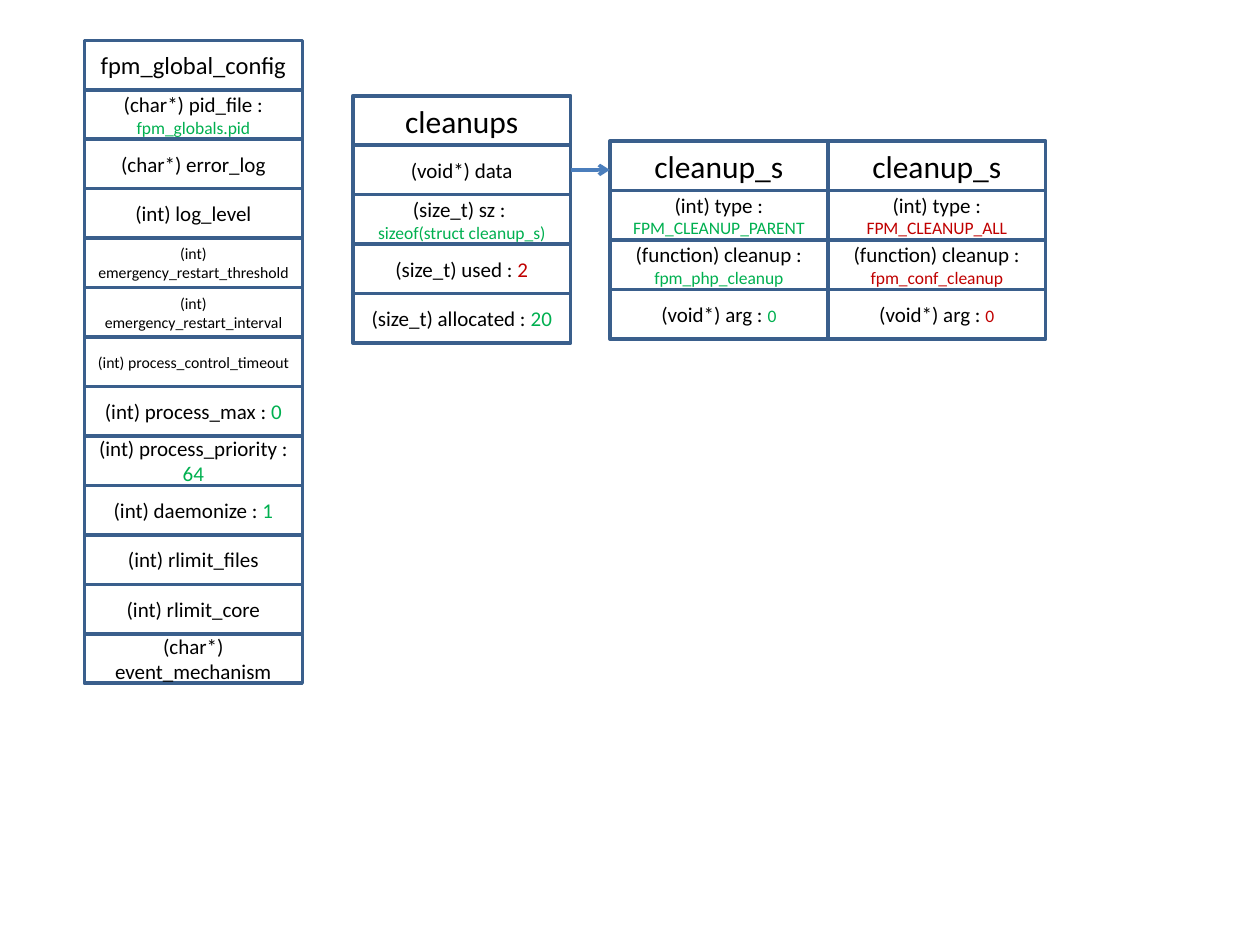
from lxml.etree import SubElement
from pptx import Presentation
from pptx.dml.color import RGBColor
from pptx.enum.shapes import MSO_CONNECTOR as Connector, MSO_SHAPE as Shape
from pptx.enum.text import MSO_ANCHOR as Anchor, PP_ALIGN as Align
from pptx.oxml.ns import qn
from pptx.util import Inches, Pt

BLACK, GREEN, RED = "000000", "00B050", "C00000"
BORDER, ARROW = "3A5F8C", "4B7EBC"
WIDTH = 1.73
ROW = (5.03 - 0.32) / 12


def field(label, value="", color=GREEN, size=12, value_size=12):
    spans = [(label, size, BLACK)]
    if value:
        spans.append((value, value_size, color))
    return [spans]


def two_lines(label, value):
    return [[(label, 12, BLACK)], [(value, 10, GREEN)]]


def cleanup_entry(kind, function, color):
    return [
        field("cleanup_s", size=18),
        field("(int) type : ", kind, color, value_size=10),
        field("(function) cleanup : ", function, color, value_size=10),
        field("(void*) arg : ", "0", color, value_size=10),
    ]


GLOBAL_CONFIG = [
    field("fpm_global_config", size=14),
    two_lines("(char*) pid_file :", "fpm_globals.pid"),
    field("(char*) error_log"),
    field("(int) log_level"),
    field("(int) emergency_restart_threshold", size=9),
    field("(int) emergency_restart_interval", size=9),
    field("(int) process_control_timeout", size=9),
    field("(int) process_max : ", "0"),
    field("(int) process_priority : ", "64"),
    field("(int) daemonize : ", "1"),
    field("(int) rlimit_files"),
    field("(int) rlimit_core"),
    field("(char*) event_mechanism"),
]
CLEANUPS = [
    field("cleanups", size=18),
    field("(void*) data"),
    two_lines("(size_t) sz : ", "sizeof(struct cleanup_s)"),
    field("(size_t) used : ", "2", RED),
    field("(size_t) allocated : ", "20"),
]
STRUCTS = [
    (0.67, 0.32, GLOBAL_CONFIG),
    (2.8, 0.76, CLEANUPS),
    (4.84, 1.12, cleanup_entry("FPM_CLEANUP_PARENT", "fpm_php_cleanup", GREEN)),
    (4.84 + WIDTH, 1.12, cleanup_entry("FPM_CLEANUP_ALL", "fpm_conf_cleanup", RED)),
]


def rgb(color):
    return RGBColor.from_string(color)


def add_box(page, left, top, paragraphs):
    box = page.shapes.add_shape(
        Shape.RECTANGLE, Inches(left), Inches(top), Inches(WIDTH), Inches(ROW))
    box.shadow.inherit = False
    box.fill.background()
    box.line.color.rgb = rgb(BORDER)
    box.line.width = Pt(2)
    frame = box.text_frame
    frame.word_wrap = True
    frame.vertical_anchor = Anchor.MIDDLE
    for index, spans in enumerate(paragraphs):
        para = frame.add_paragraph() if index else frame.paragraphs[0]
        para.alignment = Align.CENTER
        para.font.name = "Calibri"
        for text, size, color in spans:
            span = para.add_run()
            span.text = text
            span.font.size = Pt(size)
            span.font.color.rgb = rgb(color)
            span.font.name = "Calibri"


def add_arrow(page, start, end, y):
    arrow = page.shapes.add_connector(
        Connector.STRAIGHT, Inches(start), Inches(y), Inches(end), Inches(y))
    arrow.line.color.rgb = rgb(ARROW)
    arrow.line.width = Pt(2)
    SubElement(arrow.line._get_or_add_ln(), qn("a:tailEnd"), type="arrow")
    SubElement(arrow._element.spPr, qn("a:effectLst"))


deck = Presentation()
deck.slide_width, deck.slide_height = Inches(10), Inches(7.5)
page = deck.slides.add_slide(deck.slide_layouts[6])
for left, top, rows in STRUCTS:
    for number, paragraphs in enumerate(rows):
        add_box(page, left, top + number * ROW, paragraphs)
add_arrow(page, 2.8 + WIDTH, 4.84, 0.76 + 1.5 * ROW)
deck.save("out.pptx")
